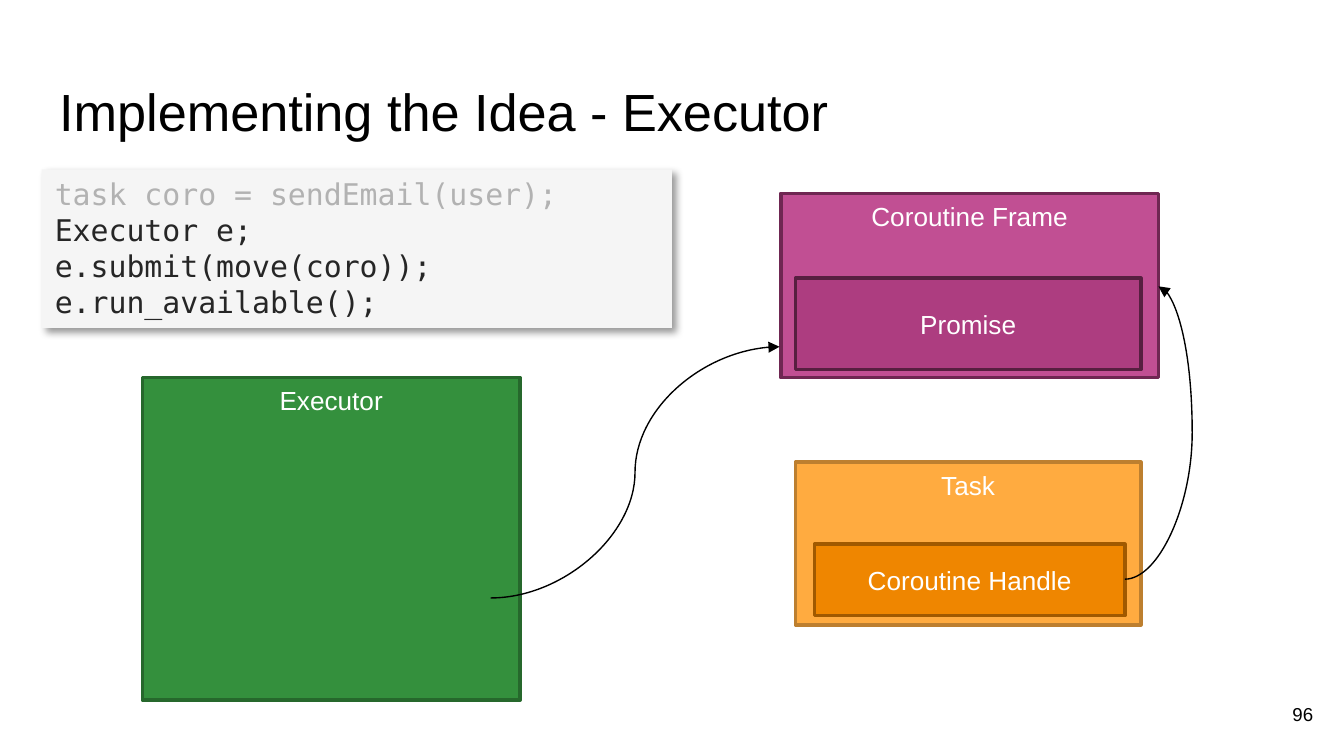
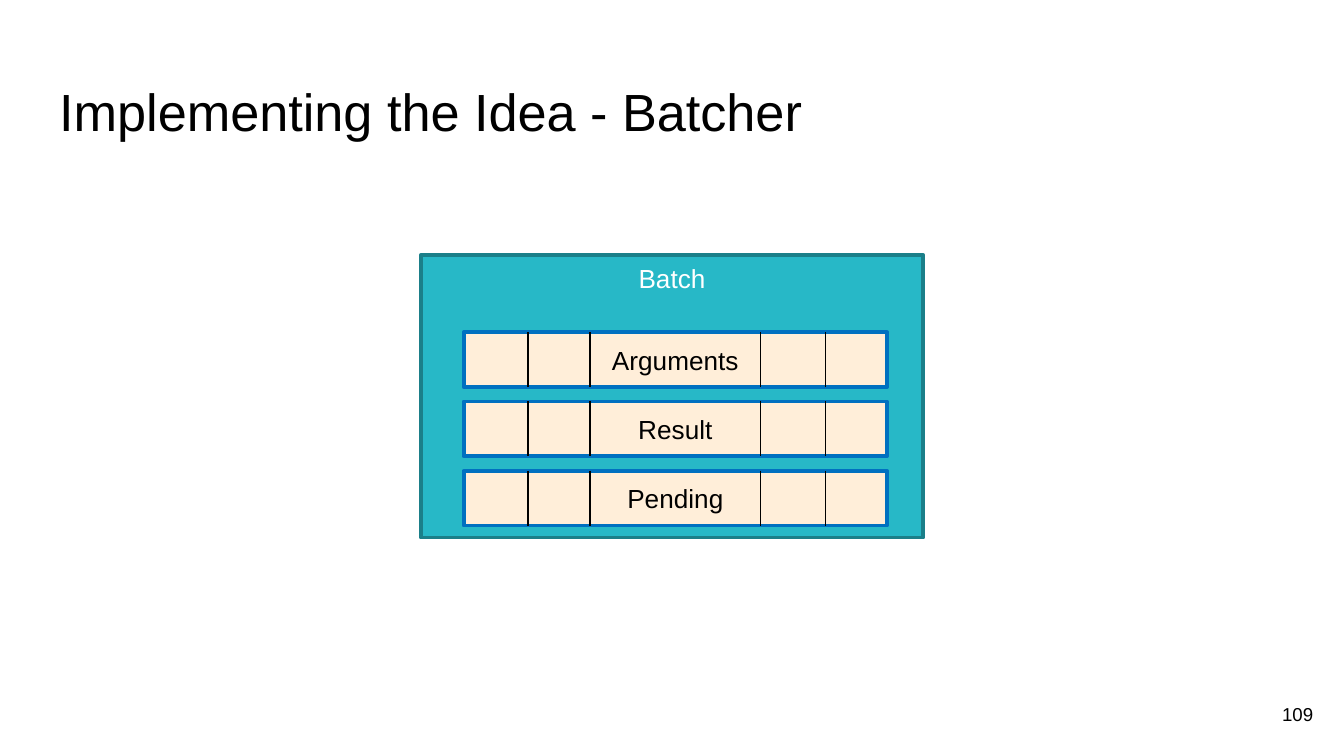
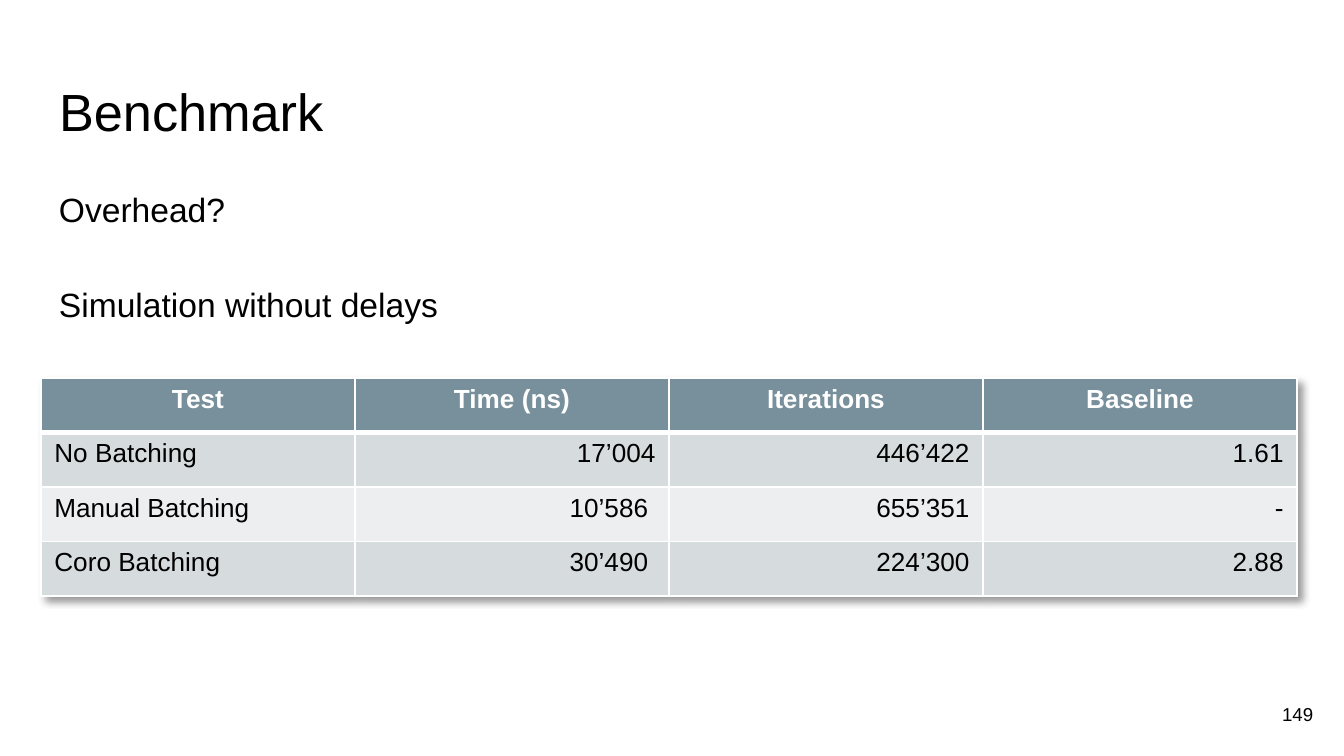
"""Build three slides on coroutine batching: executor, batcher and benchmark."""
import lxml.etree
import pptx
import pptx.dml.color
import pptx.enum.shapes
import pptx.enum.text
import pptx.oxml.ns
import pptx.util

Pt = pptx.util.Pt
qn = pptx.oxml.ns.qn
ALIGN = pptx.enum.text.PP_ALIGN
ANCHOR = pptx.enum.text.MSO_ANCHOR
LINK = pptx.enum.shapes.MSO_CONNECTOR
RECT = pptx.enum.shapes.MSO_SHAPE.RECTANGLE
BLACK, WHITE = "000000", "FFFFFF"
SANS, MONO = "Arial", "DejaVu Sans Mono"


def tint(text):
    return pptx.dml.color.RGBColor.from_string(text)


def node(root, tag, **attrs):
    return lxml.etree.SubElement(root, qn("a:" + tag), attrs)


class Deck:
    def __init__(self):
        self.show = pptx.Presentation()
        self.show.slide_width, self.show.slide_height = Pt(720), Pt(405)
        self.slide = None

    def page(self, title, number):
        self.slide = self.show.slides.add_slide(self.show.slide_layouts[5])
        head = self.slide.shapes.title
        head.left, head.top, head.width, head.height = map(Pt, (24.5, 35.3, 671, 45.4))
        self.words(head.text_frame, [(title, BLACK)], 28, pads=(7.2,) * 4)
        self.label((667.4, 367.2, 43.2, 31), [(str(number), BLACK)], 10,
                   ALIGN.RIGHT, ANCHOR.MIDDLE)

    def words(self, frame, lines, size, align=ALIGN.LEFT, anchor=ANCHOR.TOP,
              font=SANS, pads=(7.2, 3.6, 7.2, 3.6), gap=0, pitch=1):
        frame.word_wrap = True
        frame.auto_size = pptx.enum.text.MSO_AUTO_SIZE.NONE
        frame.vertical_anchor = anchor
        (frame.margin_left, frame.margin_top,
         frame.margin_right, frame.margin_bottom) = map(Pt, pads)
        for i, (text, color) in enumerate(lines):
            para = frame.add_paragraph() if i else frame.paragraphs[0]
            para.space_before = Pt(gap if i else 0)
            para.line_spacing = pitch
            self.piece(para, text, color, size, align, font)

    def piece(self, para, text, color, size, align, font=SANS, bold=False):
        para.alignment = align
        run = para.add_run()
        run.text = text
        run.font.name, run.font.size, run.font.bold = font, Pt(size), bold
        run.font.color.rgb = tint(color)

    def label(self, place, lines, size, align=ALIGN.LEFT, anchor=ANCHOR.TOP, **style):
        box = self.slide.shapes.add_textbox(*map(Pt, place))
        self.words(box.text_frame, lines, size, align, anchor, pads=(7.2,) * 4, **style)

    def rect(self, place, fill, edge=None):
        box = self.slide.shapes.add_shape(RECT, *map(Pt, place))
        box.shadow.inherit = False
        box.fill.solid()
        box.fill.fore_color.rgb = tint(fill)
        if edge:
            box.line.color.rgb = tint(edge)
            box.line.width = Pt(2)
        else:
            box.line.fill.background()
        return box

    def block(self, text, place, fill, edge, anchor=ANCHOR.TOP, color=WHITE):
        box = self.rect(place, fill, edge)
        self.words(box.text_frame, [(text, color)], 14, ALIGN.CENTER, anchor)

    def code(self, place, lines):
        box = self.rect(place, "F5F5F5")
        self.shade(box._element.spPr.find(qn("a:effectLst")))
        self.words(box.text_frame, lines, 16, font=MONO, pads=(7.2, 3.6, 0, 3.6))

    def shade(self, effects):
        glow = node(effects, "outerShdw", blurRad=str(Pt(4)), dist=str(Pt(3)),
                    dir="2700000", algn="bl", rotWithShape="0")
        node(node(glow, "srgbClr", val=BLACK), "alpha", val="40000")

    def line(self, start, end, kind=LINK.STRAIGHT):
        link = self.slide.shapes.add_connector(kind, *map(Pt, start + end))
        link.line.color.rgb = tint(BLACK)
        link.line.width = Pt(0.75)
        node(link._element.spPr, "effectLst")
        return link

    def curve(self, start, end, bend):
        prop = self.line(start, end, LINK.CURVE)._element.spPr
        node(prop.find(qn("a:ln")), "tailEnd", type="triangle")
        node(prop.find(qn("a:prstGeom")).find(qn("a:avLst")), "gd",
             name="adj1", fmla=f"val {bend}")

    def table(self, place, rows):
        grid = self.slide.shapes.add_table(len(rows), len(rows[0]), *map(Pt, place)).table
        grid.horz_banding = False
        prop = grid._tbl.tblPr
        effects = node(prop, "effectLst")
        prop.insert(0, effects)
        self.shade(effects)
        for i, row in enumerate(rows):
            for j, text in enumerate(row):
                self.cell(grid.cell(i, j), text, i, j)

    def cell(self, cell, text, i, j):
        fill = "78909C" if i == 0 else "D6DBDE" if i % 2 else "ECEEEF"
        align = ALIGN.CENTER if i == 0 else ALIGN.RIGHT if j else ALIGN.LEFT
        self.piece(cell.text_frame.paragraphs[0], text, BLACK if i else WHITE, 14,
                   align, bold=i == 0)
        prop = cell._tc.get_or_add_tcPr()
        for side in "LRTB":
            thick = (i, side) in ((0, "B"), (1, "T"))
            edge = node(prop, "ln" + side, w=str(Pt(3 if thick else 1)))
            node(node(edge, "solidFill"), "srgbClr", val=WHITE)
        cell.fill.solid()
        cell.fill.fore_color.rgb = tint(fill)


def executor(deck):
    deck.page("Implementing the Idea - Executor", 96)
    deck.block("Executor", (76.3, 202.3, 202.3, 172.8), "34903D", "26682C")
    deck.block("Coroutine Frame", (418.3, 103.7, 202.3, 98.6), "C14F93", "6F2752")
    deck.block("Promise", (426.2, 149, 185, 49), "AD3D80", "571F40", ANCHOR.MIDDLE)
    deck.block("Task", (426.2, 247.7, 185, 87.1), "FFAB40", "BD7F2F")
    deck.block("Coroutine Handle", (436.3, 291.6, 166.3, 38.2), "EF8600", "A05900",
               ANCHOR.MIDDLE)
    deck.curve((602.6, 310.3), (620.6, 153.4), 200600)
    deck.code((22.3, 90.7, 337.7, 85), [
        ("task coro = sendEmail(user);", "B2B2B2"),
        ("Executor e;", "262626"),
        ("e.submit(move(coro));", "262626"),
        ("e.run_available();", "262626"),
    ])
    deck.curve((262.8, 320.4), (417.6, 185.8), 50000)


def batcher(deck):
    deck.page("Implementing the Idea - Batcher", 109)
    deck.block("Batch", (225.4, 136.8, 269.3, 151.2), "27B8C7", "1B7F89")
    high = 29.4
    for i, name in enumerate(("Arguments", "Result", "Pending")):
        top = 178 + 37.1 * i
        deck.block(name, (248.4, top, 226.8, high), "FFEED9", "0070C0",
                   ANCHOR.MIDDLE, BLACK)
        for left in (282.8, 316.1, 407.5, 442.1):
            deck.line((left, top), (left, top + high))


def benchmark(deck):
    deck.page("Benchmark", 149)
    deck.label((24.5, 90.7, 671, 269.3),
               [("Overhead?", BLACK), ("Simulation without delays", BLACK)],
               18, gap=26, pitch=1.15)
    deck.table((21.9, 202.5, 673, 116.8), [
        ("Test", "Time (ns)", "Iterations", "Baseline"),
        ("No Batching", "17’004", "446’422", "1.61"),
        ("Manual Batching", "10’586 ", "655’351", "-"),
        ("Coro Batching", "30’490 ", "224’300", "2.88"),
    ])


def main():
    deck = Deck()
    executor(deck)
    batcher(deck)
    benchmark(deck)
    deck.show.save("out.pptx")


if __name__ == "__main__":
    main()
